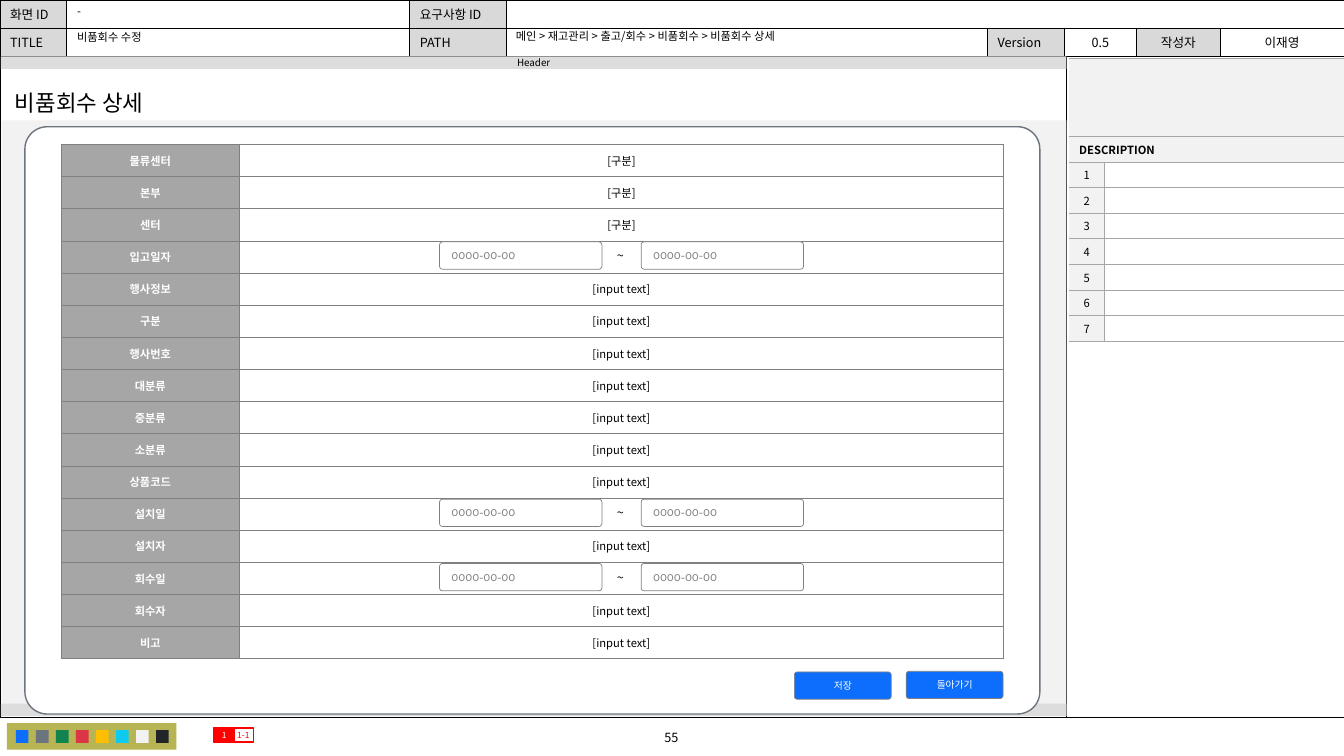
import pptx
import pptx.dml.color
import pptx.enum.shapes
import pptx.enum.text
import pptx.oxml.ns
import pptx.util
from lxml import etree

Pt = pptx.util.Pt
RGBColor = pptx.dml.color.RGBColor
Align = pptx.enum.text.PP_ALIGN
Anchor = pptx.enum.text.MSO_ANCHOR
Shape = pptx.enum.shapes.MSO_SHAPE
qn = pptx.oxml.ns.qn

BLACK = RGBColor(0x00, 0x00, 0x00)
WHITE = RGBColor(0xFF, 0xFF, 0xFF)
RED = RGBColor(0xFF, 0x00, 0x00)
BLUE = RGBColor(0x0D, 0x6E, 0xFD)
SLATE = RGBColor(0x6C, 0x75, 0x7D)
PALE = RGBColor(0xF2, 0xF2, 0xF2)
BAND = RGBColor(0xDD, 0xDD, 0xDD)
LABEL = RGBColor(0xD9, 0xD9, 0xD9)
MID = RGBColor(0xA6, 0xA6, 0xA6)
GRAY = RGBColor(0x80, 0x80, 0x80)
OLIVE = RGBColor(0xB7, 0xB5, 0x53)
SWATCHES = [BLUE, SLATE, RGBColor(0x10, 0x83, 0x4E), RGBColor(0xDC, 0x35, 0x45),
            RGBColor(0xFF, 0xBE, 0x00), RGBColor(0x0D, 0xCA, 0xF0), PALE,
            RGBColor(0x21, 0x25, 0x29)]

META = [["화면 ID", "", "요구사항 ID", "", "", "", "", ""],
        ["TITLE", "", "PATH", "", "Version", "0.5", "작성자", "이재영"]]
FIELDS = ["물류센터", "본부", "센터", "입고일자", "행사정보", "구분", "행사번호", "대분류",
          "중분류", "소분류", "상품코드", "설치일", "설치자", "회수일", "회수자", "비고"]
CHOICE_FIELDS = ["물류센터", "본부", "센터"]
DATE_FIELDS = ["입고일자", "설치일", "회수일"]


class Screen:
    font = "Noto Sans CJK KR"
    button_font = "Cabin"

    def __init__(self, page):
        self.page = page

    def fill_text(self, frame, text, size, color=BLACK, align=Align.LEFT, bold=False, font=None):
        frame.text = text
        para = frame.paragraphs[0]
        para.alignment = align
        for span in para.runs:
            span.font.size = Pt(size)
            span.font.bold = bold
            span.font.color.rgb = color
            span.font.name = font or self.font
            etree.SubElement(span.font._element, qn("a:ea"), typeface=font or self.font)
        if not text:
            etree.SubElement(para._p, qn("a:endParaRPr"), sz=str(size * 100))
        return para

    def inset(self, target, across, down):
        target.margin_left = target.margin_right = Pt(across)
        target.margin_top = target.margin_bottom = Pt(down)

    def shape(self, left, top, width, height, fill=None, line=None, weight=0.5, radius=None):
        kind = Shape.RECTANGLE if radius is None else Shape.ROUNDED_RECTANGLE
        box = self.page.shapes.add_shape(kind, Pt(left), Pt(top), Pt(width), Pt(height))
        box.shadow.inherit = False
        if radius is not None:
            box.adjustments[0] = radius
        self.paint(box, fill)
        if line is None:
            box.line.fill.background()
        else:
            box.line.color.rgb = line
            box.line.width = Pt(weight)
        return box

    def paint(self, target, fill):
        if fill is None:
            target.fill.background()
        else:
            target.fill.solid()
            target.fill.fore_color.rgb = fill

    def caption(self, box, text, size, color, align=Align.CENTER, font=None, across=0):
        frame = box.text_frame
        self.inset(frame, across, 0)
        frame.word_wrap = True
        frame.vertical_anchor = Anchor.MIDDLE
        self.fill_text(frame, text, size, color, align, font=font)

    def text(self, left, top, width, height, text, size, align=Align.LEFT, spacing=None):
        box = self.page.shapes.add_textbox(Pt(left), Pt(top), Pt(width), Pt(height))
        box.text_frame.word_wrap = True
        para = self.fill_text(box.text_frame, text, size, align=align)
        if spacing:
            para.line_spacing = spacing

    def line(self, left, top, right, bottom, color, weight):
        rule = self.page.shapes.add_connector(
            pptx.enum.shapes.MSO_CONNECTOR.STRAIGHT, Pt(left), Pt(top), Pt(right), Pt(bottom))
        rule.line.color.rgb = color
        rule.line.width = Pt(weight)
        etree.SubElement(rule._element.spPr, qn("a:effectLst"))

    def table(self, left, top, widths, heights):
        table = self.page.shapes.add_table(
            len(heights), len(widths), Pt(left), Pt(top),
            Pt(sum(widths)), Pt(sum(heights))).table
        table.first_row = table.horz_banding = False
        for column, width in zip(table.columns, widths):
            column.width = Pt(width)
        for row, height in zip(table.rows, heights):
            row.height = Pt(height)
        return table

    def cell(self, cell, text, size, fill, border, weight, sides="LRTB",
             color=BLACK, align=Align.CENTER, bold=False, across=4.3):
        self.inset(cell, across, 0)
        cell.vertical_anchor = Anchor.MIDDLE
        self.fill_text(cell.text_frame, text, size, color, align, bold)
        properties = cell._tc.get_or_add_tcPr()
        for side in "LRTB":
            edge = etree.SubElement(properties, qn("a:ln" + side), w=str(Pt(weight)))
            if side in sides:
                solid = etree.SubElement(edge, qn("a:solidFill"))
                etree.SubElement(solid, qn("a:srgbClr"), val=str(border))
            else:
                etree.SubElement(edge, qn("a:noFill"))
        self.paint(cell, fill)

    def button(self, left, top, text):
        box = self.shape(left, top, 69.2, 19.5, BLUE, GRAY, radius=0.108)
        self.caption(box, text, 7, WHITE, font=self.button_font)

    def date_range(self, top):
        for left in (314, 458):
            box = self.shape(left, top, 116, 19.5, WHITE, GRAY, radius=0.108)
            self.caption(box, "0000-00-00", 7, GRAY, Align.LEFT, self.button_font, 7.9)
        self.text(433.5, top + 0.7, 24, 18, "~", 9)

    def meta_table(self):
        table = self.table(0, 0, [47.5, 245.2, 69, 343.8, 54.5, 52, 59.5, 88.5], [20, 20])
        for row, texts in enumerate(META):
            for column, text in enumerate(texts):
                labelled = text and column % 2 == 0
                self.cell(table.cell(row, column), text, 9, LABEL if labelled else WHITE,
                          BLACK, 0.5, align=Align.CENTER if column > 4 else Align.LEFT,
                          across=7.2)
        table.cell(0, 3).merge(table.cell(0, 7))

    def description_table(self):
        table = self.table(763.6, 41.6, [25.4, 171], [55.8, 18.5] + [18.25] * 7)
        for row in range(9):
            heading = row < 2
            title = "DESCRIPTION" if row == 1 else ""
            self.cell(table.cell(row, 0), title if heading else str(row - 1), 8, PALE, MID, 0.5,
                      "TB" if heading else "RTB", bold=heading,
                      align=Align.LEFT if heading else Align.CENTER, across=7.2 if heading else 0)
            self.cell(table.cell(row, 1), "", 8, PALE if heading else None, MID, 0.5,
                      "TB" if heading else "LRTB")
            if heading:
                table.cell(row, 0).merge(table.cell(row, 1))

    def field_table(self, top, height):
        table = self.table(43.7, top, [127.4, 545.6], [height] * len(FIELDS))
        for row, field in enumerate(FIELDS):
            value = "[구분]" if field in CHOICE_FIELDS else "[input text]"
            if field in DATE_FIELDS:
                value = ""
            self.cell(table.cell(row, 0), field, 8, MID, GRAY, 0.25, color=WHITE, bold=True)
            self.cell(table.cell(row, 1), value, 8, WHITE, GRAY, 0.25)


def main():
    deck = pptx.Presentation()
    deck.slide_width, deck.slide_height = Pt(960), Pt(540)
    screen = Screen(deck.slides.add_slide(deck.slide_layouts[6]))

    screen.meta_table()
    screen.shape(0, 40, 960, 472, line=BLACK, weight=0.25)
    screen.text(386.6, 517.7, 186, 18, "55", 9, Align.CENTER)
    screen.line(762, 40.3, 762, 512, BLACK, 0.5)
    screen.shape(5, 516.5, 121, 19, OLIVE)
    for index, color in enumerate(SWATCHES):
        screen.shape(11.4 + 14.3 * index, 521.5, 9, 9.2, color)
    screen.shape(1.2, 86, 760.5, 425.5, PALE)
    screen.shape(0.7, 502.6, 761, 9, BAND)
    header = screen.shape(0.7, 40.3, 761, 9, BAND)
    screen.caption(header, "Header", 7, BLACK)

    screen.shape(17.8, 90.5, 725, 419.5, WHITE, SLATE, 1, 0.038)
    screen.description_table()
    screen.text(361.4, 18.3, 341, 16.5, "메인 > 재고관리 > 출고/회수 > 비품회수 > 비품회수 상세", 8, spacing=0.9)
    screen.text(48, 0.5, 245, 16.5, "-", 8, spacing=0.9)
    screen.text(48, 19.5, 243, 14.5, "비품회수 수정", 8, spacing=0.9)
    for left, text, fill, color in ((166.3, "1-1", None, RED), (152.6, "1", RED, WHITE)):
        badge = screen.shape(left, 520, 15, 10, fill, RED, 1)
        screen.caption(badge, text, 6, color)
    screen.text(3.6, 59.8, 116.6, 26.6, "비품회수 상세", 16)

    top, height = 103, 22.97
    screen.field_table(top, height)
    screen.button(567.4, 480, "저장")
    screen.button(647.3, 479.5, "돌아가기")
    for field in DATE_FIELDS:
        screen.date_range(top + height * FIELDS.index(field) + 0.9)
    deck.save("out.pptx")


if __name__ == "__main__":
    main()
